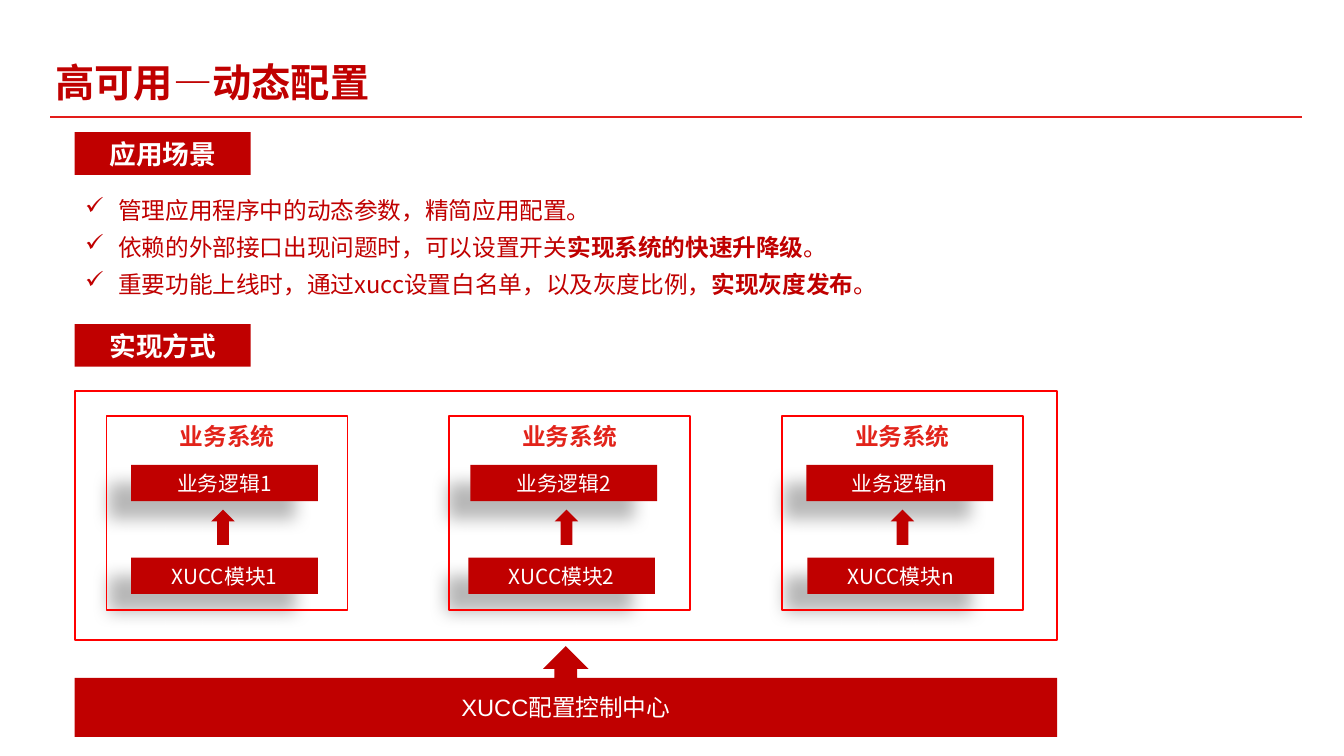
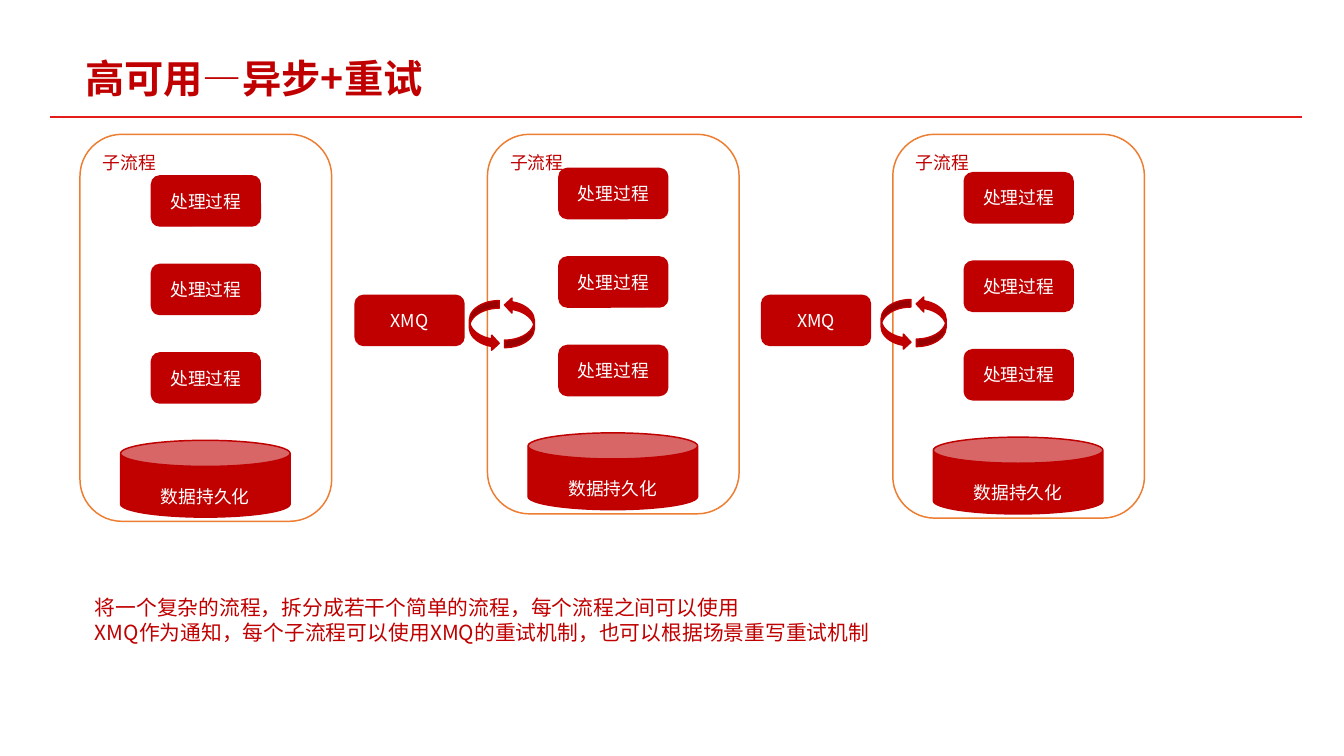
from lxml.etree import SubElement
from pptx import Presentation
from pptx.dml.color import RGBColor
from pptx.enum.shapes import MSO_CONNECTOR, MSO_SHAPE
from pptx.enum.text import MSO_ANCHOR, PP_ALIGN
from pptx.oxml.ns import qn
from pptx.util import Pt

PX = 9144
FONT = "Noto Sans CJK SC"
LINE_HEIGHT = 1.2
COLOURS = {
    "brand": "C00000",
    "can": "C10000",
    "heading": "E2231A",
    "rule": "E31D1A",
    "frame": "FF0000",
    "flow": "ED7D31",
    "white": "FFFFFF",
    "shadow": "000000",
}


def colour(name):
    return RGBColor.from_string(COLOURS[name])


def emu(*lengths):
    return [length * PX for length in lengths]


def add_bullet(para, mark, indent):
    properties = para._p.get_or_add_pPr()
    properties.set("marL", str(indent * PX))
    properties.set("indent", str(-indent * PX))
    SubElement(properties, qn("a:buChar")).set("char", mark)


def write(shape, lines, size, ink="white", bold=False, align=PP_ALIGN.CENTER,
          anchor=MSO_ANCHOR.MIDDLE, line_height=LINE_HEIGHT, latin=FONT,
          bullet=None, wrap=True):
    frame = shape.text_frame
    frame.word_wrap = wrap
    frame.vertical_anchor = anchor
    if anchor == MSO_ANCHOR.MIDDLE:
        frame.margin_top = frame.margin_bottom = 0
    for index, spans in enumerate(lines):
        para = frame.add_paragraph() if index else frame.paragraphs[0]
        para.alignment = align
        para.line_spacing = Pt(round(size * line_height, 1))
        if bullet:
            add_bullet(para, bullet, 31)
        font = para.font
        font.size = Pt(size)
        font.color.rgb = colour(ink)
        font.name = latin
        if len(spans) == 1:
            font.bold = bold
        SubElement(font._element, qn("a:ea")).set("typeface", FONT)
        for position, text in enumerate(spans):
            span = para.add_run()
            span.text = text
            if len(spans) > 1:
                span.font.bold = position % 2 == 1


def add_block(page, kind, box, fill="brand", line=None, width=1):
    shape = page.shapes.add_shape(kind, *emu(*box))
    shape.shadow.inherit = False
    if fill:
        shape.fill.solid()
        shape.fill.fore_color.rgb = colour(fill)
    else:
        shape.fill.background()
    if line:
        shape.line.color.rgb = colour(line)
        shape.line.width = Pt(width)
    else:
        shape.line.fill.background()
    return shape


def add_words(page, box, lines, size, ink="brand", **style):
    words = page.shapes.add_textbox(*emu(*box))
    write(words, lines, size, ink, **style)
    return words


def add_drop_shadow(shape):
    effects = shape._element.spPr.find(qn("a:effectLst"))
    drop = SubElement(effects, qn("a:outerShdw"), blurRad="149860",
                      dist="250190", dir="8460000", algn="ctr", rotWithShape="0")
    tint = SubElement(drop, qn("a:srgbClr"), val=COLOURS["shadow"])
    SubElement(tint, qn("a:alpha"), val="28000")


def add_page(deck, title, left, top):
    page = deck.slides.add_slide(deck.slide_layouts[6])
    rule = page.shapes.add_connector(MSO_CONNECTOR.STRAIGHT, *emu(47, 110, 1221, 110))
    rule.line.color.rgb = colour("rule")
    rule.line.width = Pt(1.5)
    SubElement(rule._element.spPr, qn("a:effectLst"))
    add_words(page, (left, top, 379, 71), [(title,)], 26.5, bold=True,
              align=PP_ALIGN.LEFT, anchor=MSO_ANCHOR.TOP, line_height=1.1)
    return page


def add_section_label(page, left, top, text):
    label = add_block(page, MSO_SHAPE.RECTANGLE, (left, top, 165, 40))
    write(label, [(text,)], 18, bold=True)


def add_system(page, left, top, suffix, logic_inset, module_inset, arrow_inset):
    for name, inset, drop in (("XUCC模块", module_inset, 133),
                              ("业务逻辑", logic_inset, 46)):
        bar = add_block(page, MSO_SHAPE.RECTANGLE, (left + inset, top + drop, 175, 34))
        add_drop_shadow(bar)
        write(bar, [(name + suffix,)], 14)
    add_block(page, MSO_SHAPE.RECTANGLE, (left, top, 226, 182), None, "frame")
    add_words(page, (left + 30, top, 166, 37), [("业务系统",)], 16, "heading", bold=True)
    add_block(page, MSO_SHAPE.UP_ARROW, (left + arrow_inset, top + 88, 22, 33))


def add_architecture(page, left, top, width):
    add_block(page, MSO_SHAPE.RECTANGLE, (left, top, width, 233), None, "frame", 1.5)
    systems = (
        (30, "1", 23, 23, 98),
        (351, "2", 20, 18, 99),
        (663, "n", 23, 24, 102),
    )
    for offset, suffix, *insets in systems:
        add_system(page, left + offset, top + 23, suffix, *insets)
    center = add_block(page, MSO_SHAPE.UP_ARROW_CALLOUT, (left, top + 239, width, 85))
    write(center, [("XUCC配置控制中心",)], 16, latin="Arial")


def build_configuration(deck):
    page = add_page(deck, "高可用—动态配置", 42, 53)
    add_section_label(page, 70, 124, "应用场景")
    scenarios = [
        ("管理应用程序中的动态参数，精简应用配置。",),
        ("依赖的外部接口出现问题时，可以设置开关", "实现系统的快速升降级", "。"),
        ("重要功能上线时，通过xucc设置白名单，以及灰度比例，", "实现灰度发布", "。"),
    ]
    add_words(page, (70, 171, 921, 115), scenarios, 16, align=PP_ALIGN.LEFT,
              anchor=MSO_ANCHOR.TOP, line_height=1.56, bullet="✓")
    add_section_label(page, 70, 304, "实现方式")
    add_architecture(page, 70, 367, 921)


def add_step(page, left, top, text):
    step = add_block(page, MSO_SHAPE.ROUNDED_RECTANGLE, (left, top, 102, 47),
                     line="brand")
    write(step, [(text,)], 12)


def add_subprocess(page, left, top, height):
    panel = add_block(page, MSO_SHAPE.ROUNDED_RECTANGLE, (left, top, 236, height),
                      "white", "flow")
    write(panel, [("子流程",)], 12, "brand", align=PP_ALIGN.LEFT,
          anchor=MSO_ANCHOR.TOP)
    bottom = top + height
    for row in range(3):
        add_step(page, left + 67, bottom - 324 + row * 83, "处理过程")
    store = add_block(page, MSO_SHAPE.CAN, (left + 38, bottom - 76, 159, 72),
                      "can", "brand")
    store.adjustments[0] = 0.34
    write(store, [("数据持久化",)], 12)
    store.text_frame.margin_top = 20 * PX


def add_retry_loop(page, left, top):
    for shift, rise, turn in ((0, 3, 0), (33, 0, 180)):
        arrow = add_block(page, MSO_SHAPE.CURVED_RIGHT_ARROW,
                          (left + shift, top + rise, 28, 47), line="brand")
        arrow.rotation = turn


def build_retry(deck):
    page = add_page(deck, "高可用—异步+重试", 70, 50)
    for left, height in ((75, 363), (457, 356), (837, 360)):
        add_subprocess(page, left, 126, height)
    for queue_left, loop_left, loop_top in ((333, 440, 279), (714, 826, 278)):
        add_step(page, queue_left, 277, "XMQ")
        add_retry_loop(page, loop_left, loop_top)
    summary = [
        ("将一个复杂的流程，拆分成若干个简单的流程，每个流程之间可以使用",),
        ("XMQ作为通知，每个子流程可以使用XMQ的重试机制，也可以根据场景重写重试机制",),
    ]
    add_words(page, (79, 553, 773, 57), summary, 14, align=PP_ALIGN.LEFT,
              anchor=MSO_ANCHOR.TOP, wrap=False)


def main():
    deck = Presentation()
    deck.slide_width, deck.slide_height = emu(1260, 709)
    build_configuration(deck)
    build_retry(deck)
    deck.save("out.pptx")


if __name__ == "__main__":
    main()
